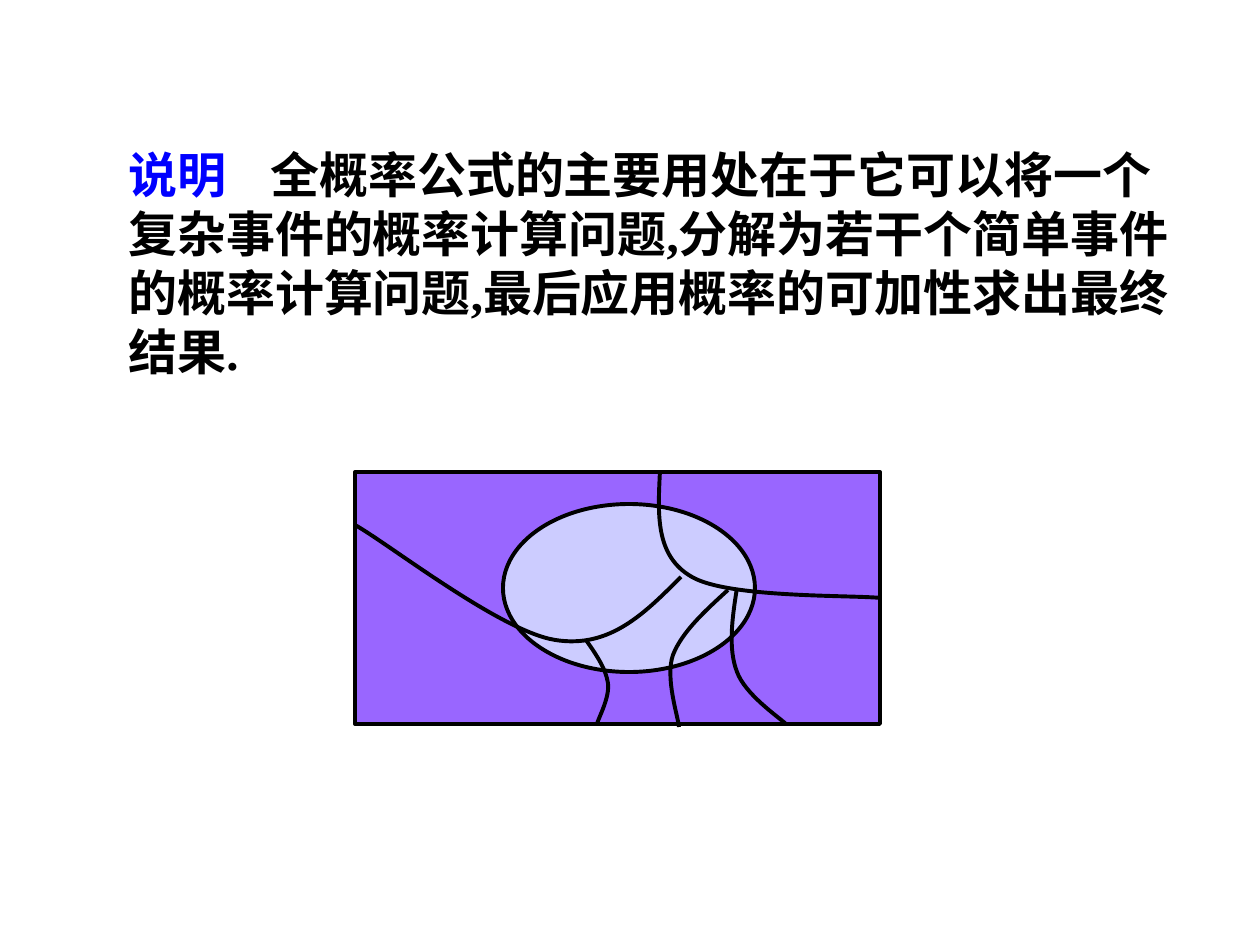
from dataclasses import dataclass

from lxml import etree
from pptx import Presentation
from pptx import util as u
from pptx.dml.color import RGBColor
from pptx.enum import shapes, text
from pptx.oxml.ns import qn

EMU_PER_PX = 914400 / 126


def px(length):
    return u.Emu(round(length * EMU_PER_PX))


@dataclass(frozen=True)
class Theme:
    latin_font: str = "Times New Roman"
    chinese_font: str = "Noto Sans CJK SC"
    body_size: float = 28
    line_pitch: float = 33.6
    outline: float = 2.25
    ink: str = "000000"
    heading: str = "0000FF"
    sample_space: str = "9966FF"
    event: str = "CCCCFF"


class SlideBuilder:
    def __init__(self, presentation, theme):
        self.theme = theme
        self.slide = presentation.slides.add_slide(presentation.slide_layouts[6])

    def paragraph(self, left, top, width, height, pieces, tab):
        """Add one wrapped paragraph of (wording, font, colour) pieces."""
        box = self.slide.shapes.add_textbox(px(left), px(top), px(width), px(height))
        frame = box.text_frame
        frame.word_wrap = True
        frame.auto_size = text.MSO_AUTO_SIZE.SHAPE_TO_FIT_TEXT
        frame.margin_top, frame.margin_bottom = px(10), px(2)
        paragraph = frame.paragraphs[0]
        paragraph.line_spacing = u.Pt(self.theme.line_pitch)
        tabs = etree.SubElement(paragraph._p.get_or_add_pPr(), qn("a:tabLst"))
        etree.SubElement(tabs, qn("a:tab"), pos=str(px(tab)), algn="l")
        for wording, font, colour in pieces:
            run = paragraph.add_run()
            run.text = wording
            run.font.size = u.Pt(self.theme.body_size)
            run.font.bold = True
            run.font.color.rgb = RGBColor.from_string(colour)
            run.font.name = font
            etree.SubElement(run._r.get_or_add_rPr(), qn("a:ea"),
                             typeface=self.theme.chinese_font)

    def outline(self, shape):
        shape.shadow.inherit = False
        shape.line.color.rgb = RGBColor.from_string(self.theme.ink)
        shape.line.width = u.Pt(self.theme.outline)

    def region(self, kind, left, top, width, height, fill):
        shape = self.slide.shapes.add_shape(kind, px(left), px(top), px(width), px(height))
        shape.fill.solid()
        shape.fill.fore_color.rgb = RGBColor.from_string(fill)
        self.outline(shape)

    def curve(self, start, *points):
        """Add an open Bezier curve; every three points make one segment."""
        builder = self.slide.shapes.build_freeform(*start, scale=EMU_PER_PX)
        builder.add_line_segments(points, close=False)
        shape = builder.convert_to_shape()
        shape.fill.background()
        self.outline(shape)
        # Turn each group of three straight steps into one cubic segment
        steps = list(shape._element.iter(qn("a:lnTo")))
        for first in range(0, len(steps), 3):
            cubic = etree.Element(qn("a:cubicBezTo"))
            steps[first].addprevious(cubic)
            for step in steps[first:first + 3]:
                cubic.append(step[0])
                step.getparent().remove(step)


def main():
    theme = Theme()
    presentation = Presentation()
    presentation.slide_width, presentation.slide_height = px(1260), px(945)
    builder = SlideBuilder(presentation, theme)

    # Explanation
    latin, chinese = theme.latin_font, theme.chinese_font
    builder.paragraph(116, 135, 1080, 248, [
        ("说明\t", latin, theme.heading),
        ("全概率公式的主要用处在于它可以将一个复杂事件的概率计算问题", chinese, theme.ink),
        (",", latin, theme.ink),
        ("分解为若干个简单事件的概率计算问题", chinese, theme.ink),
        (",", latin, theme.ink),
        ("最后应用概率的可加性求出最终结果", chinese, theme.ink),
        (".", latin, theme.ink),
    ], tab=142)

    # Sample space and the event inside it
    builder.region(shapes.MSO_SHAPE.RECTANGLE, 355, 472, 525, 252, theme.sample_space)
    builder.region(shapes.MSO_SHAPE.OVAL, 503, 504, 252, 168, theme.event)

    # Curves that partition the sample space
    partition = [
        [(660, 472), (658, 514), (655, 556), (692, 577),
         (728, 598), (849, 595), (881, 598)],
        [(681, 577), (645, 613), (610, 649), (555, 640),
         (500, 631), (389, 544), (355, 525)],
        [(586, 640), (596, 654), (606, 669), (608, 683),
         (610, 697), (599, 717), (597, 724)],
        [(737, 588), (732, 619), (728, 649), (737, 672),
         (745, 694), (777, 716), (786, 724)],
        [(728, 590), (705, 611), (682, 632), (673, 655),
         (665, 678), (678, 716), (679, 727)],
    ]
    for points in partition:
        builder.curve(*points)

    presentation.save("out.pptx")


if __name__ == "__main__":
    main()
